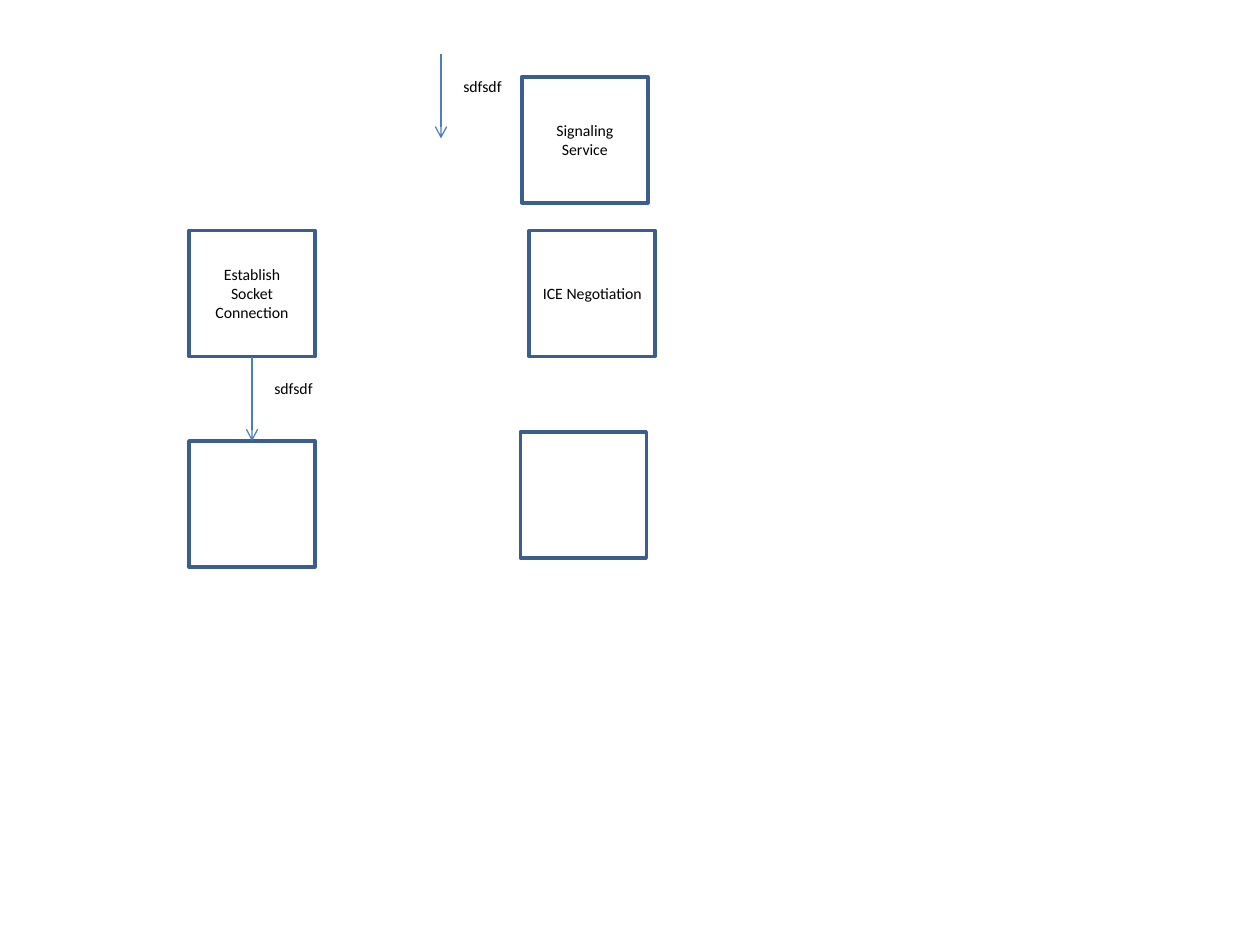
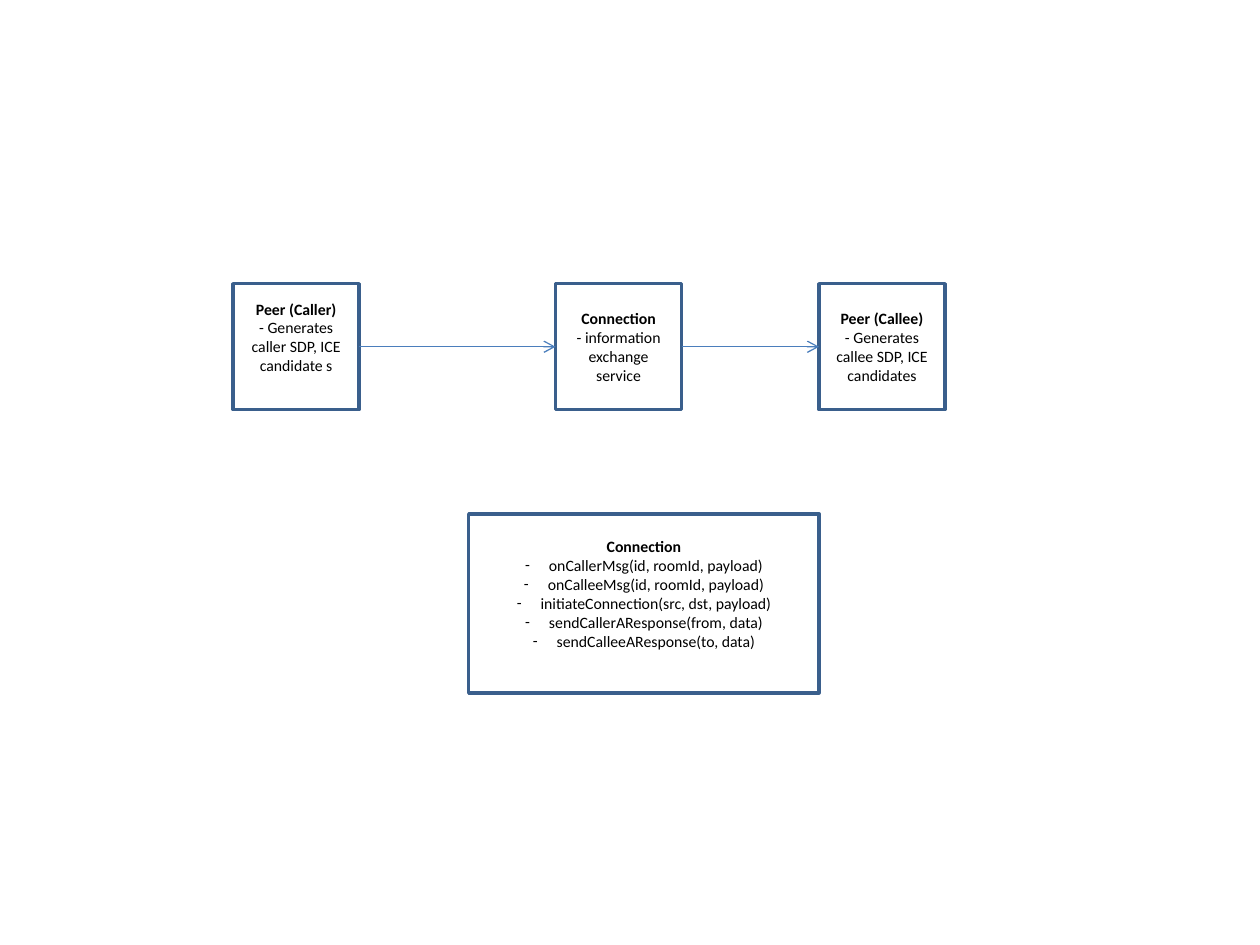
from lxml import etree
from pptx import Presentation
from pptx.dml.color import RGBColor
from pptx.enum.shapes import MSO_CONNECTOR, MSO_SHAPE
from pptx.enum.text import MSO_ANCHOR, PP_ALIGN
from pptx.oxml.ns import qn
from pptx.util import Cm, Pt

RECTANGLE = MSO_SHAPE.RECTANGLE
STRAIGHT = MSO_CONNECTOR.STRAIGHT
MIDDLE, TOP = MSO_ANCHOR.MIDDLE, MSO_ANCHOR.TOP
CENTER, LEFT = PP_ALIGN.CENTER, PP_ALIGN.LEFT
TOP_SIDE, LEFT_SIDE, BOTTOM_SIDE, RIGHT_SIDE = range(4)

COLORS = {"box": "FFFFFF", "border": "3A5F8C", "arrow": "4B7EBC", "text": "000000"}
FONT = "Calibri"
FONT_SIZE = 9
PAGE_WIDTH, PAGE_HEIGHT = 25.4, 19.05
SIDE = 2.54
INSET = 0.13
LINE_HEIGHT = 0.38
BULLET_INDENT = 0.48


def color(name):
    return RGBColor.from_string(COLORS[name])


def add_bullet(para):
    """Give a paragraph a hanging dash."""
    properties = para._p.get_or_add_pPr()
    properties.set("marL", str(Cm(BULLET_INDENT)))
    properties.set("indent", str(-Cm(BULLET_INDENT)))
    etree.SubElement(properties, qn("a:buFont")).set("typeface", FONT)
    etree.SubElement(properties, qn("a:buChar")).set("char", "-")


def write_text(shape, lines, align=CENTER, anchor=MIDDLE, heading=False,
               bullets=False, bottom_inset=INSET):
    """Write one paragraph per line; a heading is a bold first line without a bullet."""
    frame = shape.text_frame
    frame.word_wrap = True
    frame.vertical_anchor = anchor
    frame.margin_bottom = Cm(bottom_inset)
    for index, line in enumerate(lines):
        para = frame.paragraphs[0] if index == 0 else frame.add_paragraph()
        para.alignment = align
        is_heading = heading and index == 0
        if bullets and not is_heading:
            add_bullet(para)
        span = para.add_run()
        span.text = line
        span.font.name = FONT
        span.font.size = Pt(FONT_SIZE)
        span.font.bold = is_heading
        span.font.color.rgb = color("text")


def add_box(page, left, top, lines=(), width=SIDE, height=SIDE, **text_format):
    box = page.shapes.add_shape(RECTANGLE, Cm(left), Cm(top), Cm(width), Cm(height))
    box.shadow.inherit = False
    box.fill.solid()
    box.fill.fore_color.rgb = color("box")
    box.line.color.rgb = color("border")
    box.line.width = Pt(2)
    write_text(box, lines, **text_format)
    return box


def add_arrow(page, start=(0, 0), end=(0, 0)):
    arrow = page.shapes.add_connector(STRAIGHT, *(Cm(value) for value in (*start, *end)))
    arrow.line.color.rgb = color("arrow")
    arrow.line.width = Pt(0.75)
    etree.SubElement(arrow.line._get_or_add_ln(), qn("a:tailEnd")).set("type", "arrow")
    etree.SubElement(arrow._element.spPr, qn("a:effectLst"))
    return arrow


def join_boxes(page, source, source_side, target, target_side):
    arrow = add_arrow(page)
    arrow.begin_connect(source, source_side)
    arrow.end_connect(target, target_side)


def add_arrow_label(page, arrow_left, arrow_top, text):
    label = page.shapes.add_textbox(Cm(arrow_left + 0.2), Cm(arrow_top + 0.33),
                                    Cm(4.65), Cm(0.64))
    write_text(label, [text], align=LEFT, anchor=TOP)


def add_socket_steps(page, left, top):
    """Two boxes, one above the other, joined by a labelled arrow."""
    gap = 1.7
    establish = add_box(page, left, top, ["Establish Socket Connection"])
    following = add_box(page, left, top + SIDE + gap)
    join_boxes(page, establish, BOTTOM_SIDE, following, TOP_SIDE)
    add_arrow_label(page, left + SIDE / 2, top + SIDE, "sdfsdf")


def add_loose_arrow(page, left, top):
    add_arrow(page, (left, top), (left, top + 1.7))
    add_arrow_label(page, left, top, "sdfsdf")


def add_service_boxes(page, left, top):
    add_box(page, left + 0.03, top, ["Signaling", "Service"])
    add_box(page, left + 0.18, top + 3.1, ["ICE Negotiation"])
    add_box(page, left, top + 7.16)


def add_peer_row(page, left, top):
    """Caller, connection and callee, joined from left to right."""
    caller = add_box(page, left, top,
                     ["Peer (Caller)", "- Generates caller SDP, ICE candidate s"],
                     heading=True, bottom_inset=INSET + LINE_HEIGHT)
    connection = add_box(page, left + 6.5, top,
                         ["Connection", "- information exchange service"], heading=True)
    callee = add_box(page, left + 11.81, top,
                     ["Peer (Callee)", "- Generates callee SDP, ICE candidates"],
                     heading=True)
    for source, target in ((caller, connection), (connection, callee)):
        join_boxes(page, source, RIGHT_SIDE, target, LEFT_SIDE)


def add_connection_methods(page, left, top):
    methods = ["onCallerMsg(id, roomId, payload)",
               "onCalleeMsg(id, roomId, payload)",
               "initiateConnection(src, dst, payload)",
               "sendCallerAResponse(from, data)",
               "sendCalleeAResponse(to, data)"]
    add_box(page, left, top, ["Connection", *methods], width=7.06, height=3.61,
            heading=True, bullets=True, bottom_inset=INSET + LINE_HEIGHT)


def main():
    deck = Presentation()
    deck.slide_width, deck.slide_height = Cm(PAGE_WIDTH), Cm(PAGE_HEIGHT)
    blank = deck.slide_layouts[6]

    steps_page = deck.slides.add_slide(blank)
    add_socket_steps(steps_page, 3.81, 4.65)
    add_loose_arrow(steps_page, 8.89, 1.09)
    add_service_boxes(steps_page, 10.49, 1.55)

    peers_page = deck.slides.add_slide(blank)
    add_peer_row(peers_page, 4.7, 5.72)
    add_connection_methods(peers_page, 9.45, 10.36)

    deck.save("out.pptx")


if __name__ == "__main__":
    main()
